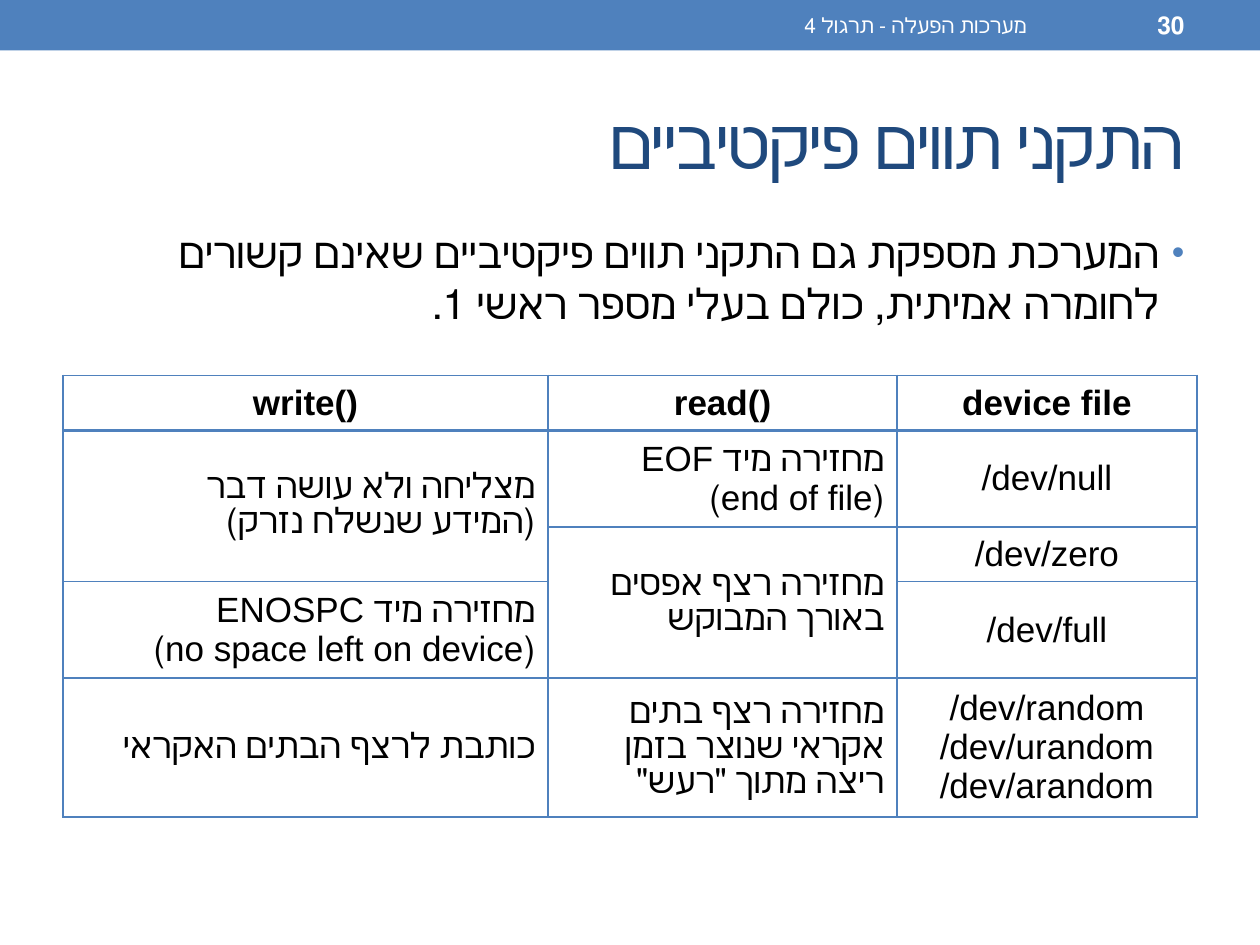
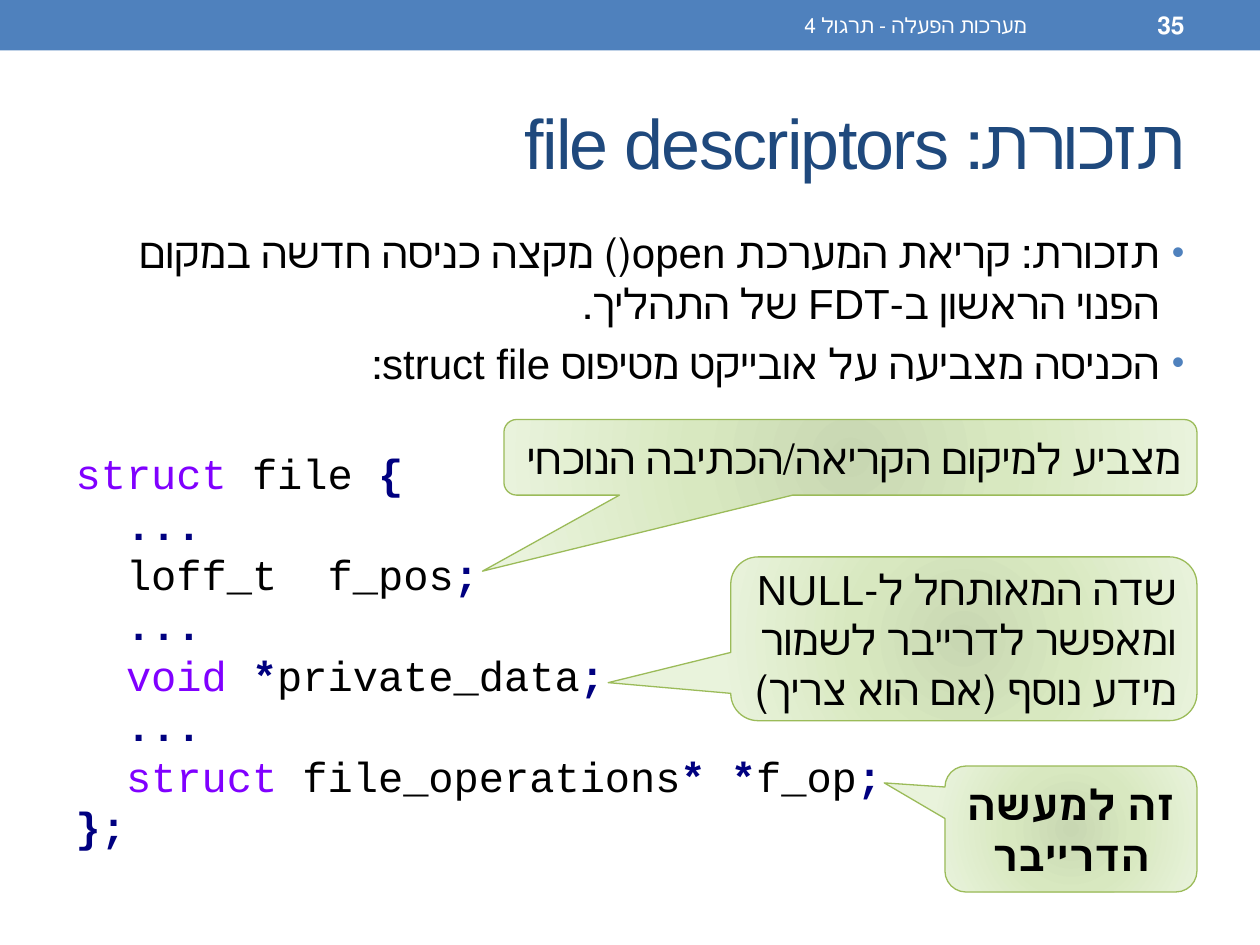
from dataclasses import dataclass
from typing import NamedTuple

from lxml import etree
from pptx import Presentation
from pptx.dml.color import RGBColor
from pptx.enum.shapes import MSO_SHAPE
from pptx.enum.text import MSO_ANCHOR, MSO_AUTO_SIZE, PP_ALIGN
from pptx.oxml import parse_xml
from pptx.oxml.ns import nsdecls, qn
from pptx.util import Inches, Pt

LEFT, MID, RIGHT = PP_ALIGN.LEFT, PP_ALIGN.CENTER, PP_ALIGN.RIGHT
CENTER = MSO_ANCHOR.MIDDLE
FIXED = MSO_AUTO_SIZE.NONE
RECT, BUBBLE = MSO_SHAPE.RECTANGLE, MSO_SHAPE.ROUNDED_RECTANGULAR_CALLOUT


@dataclass(frozen=True)
class Theme:
    font: str = "Arial"
    mono: str = "Courier New"
    blue: str = "4F81BD"
    navy: str = "1F497D"
    black: str = "000000"
    white: str = "FFFFFF"
    key: str = "8000FF"
    sign: str = "000080"
    green: str = "9BBB59"
    glow: tuple = ((0, "C8D7B2"), (45, "D8E8C0"), (100, "E9F3DC"))
    title: float = 40
    body: float = 24
    cell: float = 20
    number: float = 14
    footer: float = 12
    pitch: float = 28.8
    gap: float = 5.5


T = Theme()


class Box(NamedTuple):
    x: float
    y: float
    w: float
    h: float


class Bit(NamedTuple):
    """One run of text."""
    text: str
    color: str = T.black
    bold: bool = False


class Note(NamedTuple):
    """A callout and its pointer, given as shares of its size."""
    box: Box
    tip: tuple
    text: str
    align: PP_ALIGN = RIGHT
    bold: bool = False


class Cell(NamedTuple):
    row: int
    col: int
    text: str
    span: int = 1


FOOTER = "מערכות הפעלה - תרגול 4"
BAND = Box(0, 0, 10, 0.4)
HEAD = Box(0.5, 0.58, 9, 1.08)
BODY = Box(0.5, 1.75, 9, 5.33)
FOOT = Box(3.75, 0.02, 4.5, 0.36)
PAGE = Box(8.33, 0.02, 1.17, 0.36)

GRID = Box(0.5, 2.98, 9, 3.29)
COLS = (3.85, 2.77, 2.38)
ROWS = (0.41, 0.72, 0.41, 0.72, 1.03)
NAMES = 2
CELLS = (
    Cell(0, 0, "write()"),
    Cell(0, 1, "read()"),
    Cell(0, 2, "device file"),
    Cell(1, 0, "מצליחה ולא עושה דבר\n(המידע שנשלח נזרק)", 2),
    Cell(1, 1, "מחזירה מיד EOF\n(end of file)"),
    Cell(1, 2, "/dev/null"),
    Cell(2, 1, "מחזירה רצף אפסים באורך המבוקש", 2),
    Cell(2, 2, "/dev/zero"),
    Cell(3, 0, "מחזירה מיד ENOSPC\n(no space left on device)"),
    Cell(3, 2, "/dev/full"),
    Cell(4, 0, "כותבת לרצף הבתים האקראי"),
    Cell(4, 1, 'מחזירה רצף בתים אקראי שנוצר בזמן ריצה מתוך "רעש"'),
    Cell(4, 2, "/dev/random\n/dev/urandom\n/dev/arandom"),
)

END = Bit(";", T.sign, True)
DOTS = (Bit("...", T.sign, True),)
CODE = (
    (Bit("struct", T.key), Bit(" file "), Bit("{", T.sign, True)),
    DOTS,
    (Bit("loff_t  f_pos"), END),
    DOTS,
    (Bit("void ", T.key), Bit("*", T.sign, True), Bit("private_data"), END),
    DOTS,
    (Bit("struct ", T.key), Bit("file_operations"),
     Bit("* *", T.sign, True), Bit("f_op"), END),
    (Bit("};", T.sign, True),),
)
NOTES = (
    Note(Box(5.8, 4.42, 3.7, 1.3), (-0.763, 0.268),
         "שדה המאותחל ל-NULL ומאפשר לדרייבר לשמור מידע נוסף (אם הוא צריך)"),
    Note(Box(7.5, 6.08, 2, 1), (-0.741, -0.366), "זה למעשה הדרייבר", MID, True),
    Note(Box(4, 3.33, 5.5, 0.6), (-0.531, 1.506),
         "מצביע למיקום הקריאה/הכתיבה הנוכחי"),
)


def rgb(color: str) -> RGBColor:
    return RGBColor.from_string(color)


def place(box: Box) -> tuple:
    return tuple(Inches(n) for n in box)


def move(shape, box: Box) -> None:
    shape.left, shape.top, shape.width, shape.height = place(box)


def write(para, bits, size: float, align=RIGHT, rtl=True, font=T.font) -> None:
    """Fill a paragraph run by run."""
    para.alignment = align
    para._p.get_or_add_pPr().set("rtl", "1" if rtl else "0")
    for bit in bits:
        run = para.add_run()
        run.text = bit.text
        run.font.name, run.font.size = font, Pt(size)
        run.font.bold = bit.bold
        run.font.color.rgb = rgb(bit.color)


def indent(para, left: float, hang: float = 0) -> None:
    props = para._p.get_or_add_pPr()
    props.set("marL", str(Inches(left)))
    props.set("indent", str(-Inches(hang)))


def mark(para, tag: str, **attrs):
    """Append one bullet property to a paragraph."""
    return etree.SubElement(para._p.get_or_add_pPr(), qn(f"a:{tag}"), attrs)


def add_para(frame):
    """Return the empty first paragraph, or a new one."""
    first = frame.paragraphs[0]
    return first if not first.runs else frame.add_paragraph()


def add_item(frame, text: str) -> None:
    para = add_para(frame)
    first = len(frame.paragraphs) == 1
    write(para, [Bit(text)], T.body)
    para.line_spacing = Pt(T.pitch)
    para.space_before = Pt(0 if first else T.gap)
    indent(para, 0.2, 0.2)
    etree.SubElement(mark(para, "buClr"), qn("a:srgbClr"), val=T.blue)
    mark(para, "buSzPct", val="85000")
    mark(para, "buFont", typeface=T.font)
    mark(para, "buChar", char="•")


def add_code(frame) -> None:
    """Set the listing one blank line below the bullets."""
    last = len(CODE) - 1
    for i, bits in enumerate(CODE):
        para = add_para(frame)
        write(para, bits, T.body, LEFT, False, T.mono)
        para.line_spacing = Pt(T.pitch)
        para.space_before = Pt(0 if i else T.pitch + T.gap)
        indent(para, 0.4 if 0 < i < last else 0)
        mark(para, "buNone")


def add_label(slide, box: Box, bit: Bit, size: float) -> None:
    frame = slide.shapes.add_textbox(*place(box)).text_frame
    frame.word_wrap, frame.vertical_anchor = True, CENTER
    write(frame.paragraphs[0], [bit], size)


def add_slide(deck, title: str, page: int, items):
    """Start a slide with band, footer, title and bullets."""
    slide = deck.slides.add_slide(deck.slide_layouts[1])
    band = slide.shapes.add_shape(RECT, *place(BAND))
    band.shadow.inherit = False
    band.fill.solid()
    band.fill.fore_color.rgb = rgb(T.blue)
    band.line.fill.background()

    head, body = slide.shapes.title, slide.placeholders[1]
    for shape, box in ((head, HEAD), (body, BODY)):
        move(shape, box)
        shape.text_frame.auto_size = FIXED
    head.text_frame.vertical_anchor = CENTER
    para = head.text_frame.paragraphs[0]
    write(para, [Bit(title, T.navy)], T.title)
    para.runs[0].font._element.set("spc", "-100")
    for item in items:
        add_item(body.text_frame, item)

    add_label(slide, FOOT, Bit(FOOTER, T.white), T.footer)
    add_label(slide, PAGE, Bit(str(page), T.white, True), T.number)
    return slide


def add_edges(cell, head: bool) -> None:
    props = cell._tc.get_or_add_tcPr()
    for side in "LRTB":
        width = Pt(2 if head and side == "B" else 1)
        line = etree.SubElement(props, qn(f"a:ln{side}"), w=str(width))
        fill = etree.SubElement(line, qn("a:solidFill"))
        etree.SubElement(fill, qn("a:srgbClr"), val=T.blue)


def add_grid(slide) -> None:
    shape = slide.shapes.add_table(len(ROWS), len(COLS), *place(GRID))
    table = shape.table
    table.first_row = table.horz_banding = False
    for col, width in zip(table.columns, COLS):
        col.width = Inches(width)
    for i, (row, height) in enumerate(zip(table.rows, ROWS)):
        row.height = Inches(height)
        for cell in row.cells:
            add_edges(cell, i == 0)
            cell.fill.background()
    for item in CELLS:
        cell = table.cell(item.row, item.col)
        if item.span > 1:
            cell.merge(table.cell(item.row + item.span - 1, item.col))
        cell.vertical_anchor = CENTER
        head = item.row == 0
        mid = head or item.col == NAMES
        for text in item.text.split("\n"):
            write(add_para(cell.text_frame), [Bit(text, bold=head)],
                  T.cell, MID if mid else RIGHT, not mid)


def add_glow(shape) -> None:
    """Fill a shape with the round green gradient."""
    stops = "".join(
        f'<a:gs pos="{at * 1000}"><a:srgbClr val="{color}"/></a:gs>'
        for at, color in T.glow)
    edge = " ".join(f'{side}="100000"' for side in "ltrb")
    glow = parse_xml(
        f'<a:gradFill {nsdecls("a")} rotWithShape="1"><a:gsLst>{stops}</a:gsLst>'
        f'<a:path path="circle"><a:fillToRect {edge}/></a:path></a:gradFill>')
    shape.fill.gradient()
    props = shape._element.spPr
    props.replace(props.find(qn("a:gradFill")), glow)


def add_note(slide, note: Note) -> None:
    shape = slide.shapes.add_shape(BUBBLE, *place(note.box))
    shape.shadow.inherit = False
    for i, value in enumerate((*note.tip, 0.167)):
        shape.adjustments[i] = value
    add_glow(shape)
    shape.line.color.rgb, shape.line.width = rgb(T.green), Pt(0.75)
    frame = shape.text_frame
    frame.word_wrap, frame.vertical_anchor = True, CENTER
    para = frame.paragraphs[0]
    write(para, [Bit(note.text, bold=note.bold)], T.body, note.align)
    para.line_spacing = Pt(T.pitch)


def main() -> None:
    deck = Presentation()
    deck.slide_width, deck.slide_height = Inches(10), Inches(7.5)

    slide = add_slide(deck, "התקני תווים פיקטיביים", 30, (
        "המערכת מספקת גם התקני תווים פיקטיביים שאינם קשורים לחומרה אמיתית, "
        "כולם בעלי מספר ראשי 1.",))
    add_grid(slide)

    slide = add_slide(deck, "תזכורת: file descriptors", 35, (
        "תזכורת: קריאת המערכת open() מקצה כניסה חדשה במקום הפנוי הראשון "
        "ב-FDT של התהליך.",
        "הכניסה מצביעה על אובייקט מטיפוס struct file:"))
    add_code(slide.placeholders[1].text_frame)
    for note in NOTES:
        add_note(slide, note)

    deck.save("out.pptx")


if __name__ == "__main__":
    main()
